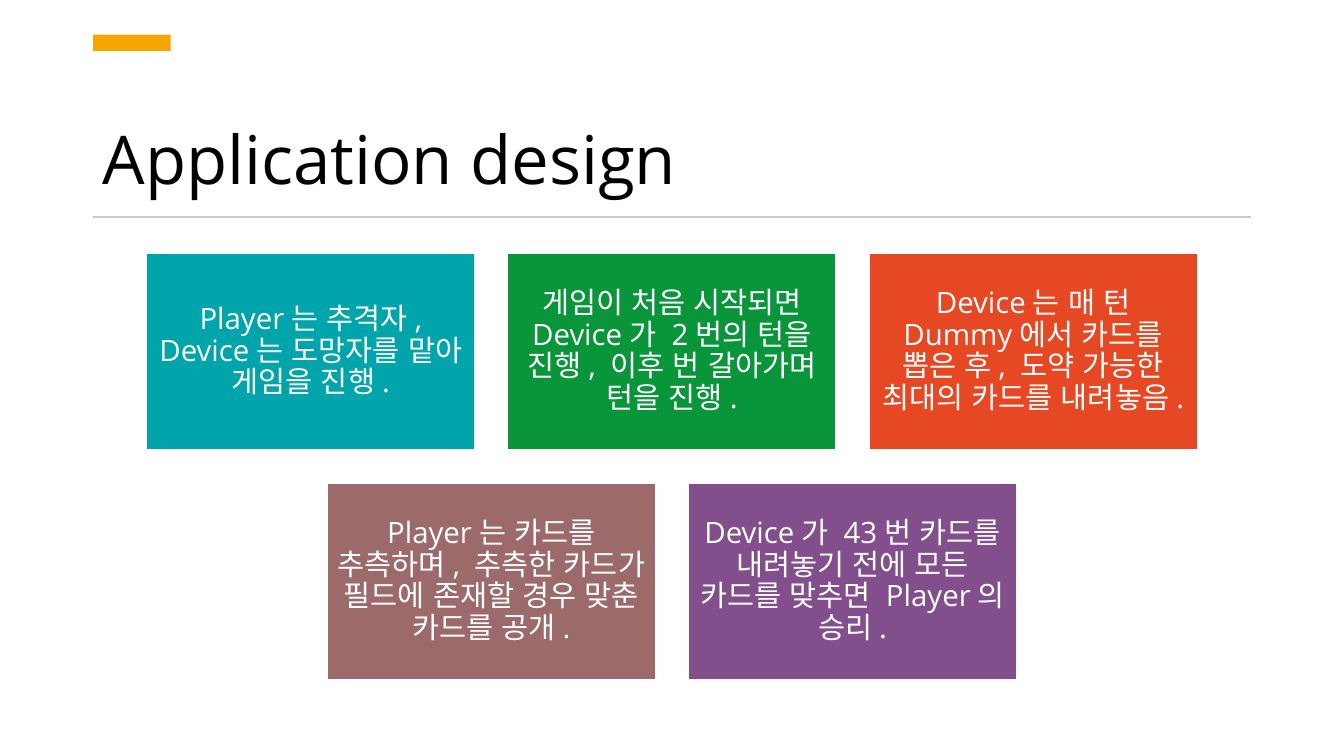
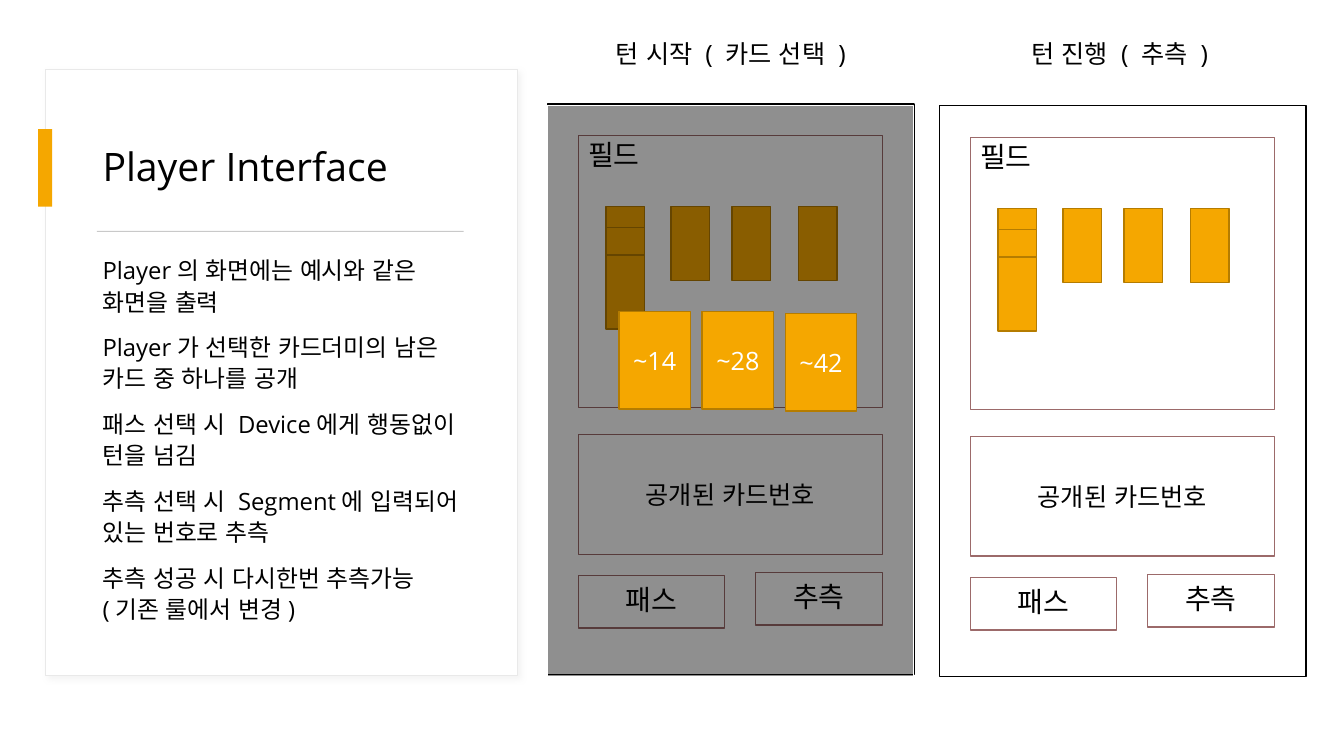
"""Build two slides on a card game: its rules and its player interface."""
import dataclasses
import typing

import lxml.etree
import pptx
import pptx.dml.color
import pptx.enum.lang
import pptx.enum.shapes
import pptx.enum.text
import pptx.oxml.ns
import pptx.shapes.autoshape
import pptx.shapes.shapetree
import pptx.slide
import pptx.util

Pt = pptx.util.Pt
Align = pptx.enum.text.PP_ALIGN
Anchor = pptx.enum.text.MSO_ANCHOR
Shape = pptx.shapes.autoshape.Shape
Shapes = typing.Union[
    pptx.shapes.shapetree.SlideShapes, pptx.shapes.shapetree.GroupShapes
]

SLIDE_WIDTH, SLIDE_HEIGHT = 960, 540
BLACK, WHITE = "000000", "FFFFFF"
AMBER, AMBER_EDGE = "F5A700", "B57C00"
RULE_GREY, PANEL_EDGE, SHADOW_GREY = "C9C9C9", "E9E9E9", "D9D9D9"
MAUVE = "9C6A6A"
LATIN_FONT, KOREAN_FONT = "Open Sans", "Noto Sans CJK KR"


@dataclasses.dataclass(frozen=True)
class Box:
    """A rectangle in points."""

    left: float
    top: float
    width: float
    height: float

    def lengths(self) -> list[pptx.util.Length]:
        """Give the four lengths in the order python-pptx expects."""
        return [Pt(value) for value in dataclasses.astuple(self)]

    def moved(self, across: float, down: float) -> "Box":
        """Give the same box shifted."""
        return dataclasses.replace(self, left=self.left + across, top=self.top + down)


@dataclasses.dataclass(frozen=True)
class TextStyle:
    """How the paragraphs of one text look."""

    size: float
    colour: str = BLACK
    align: Align = Align.LEFT
    anchor: Anchor = Anchor.TOP
    line_spacing: float = 1.0
    before: float = 0
    after: float = 0
    inset: typing.Optional[float] = None


@dataclasses.dataclass(frozen=True)
class Part:
    """One rectangle of the phone screen, with or without a label."""

    box: Box
    fill: str = WHITE
    line: str = MAUVE
    label: str = ""
    style: typing.Optional[TextStyle] = None


WIDE_TITLE = TextStyle(48, anchor=Anchor.BOTTOM, line_spacing=0.9)
PANEL_TITLE = TextStyle(28, anchor=Anchor.MIDDLE, line_spacing=0.9)
BODY = TextStyle(17, line_spacing=1.1, before=10)
TILE = TextStyle(21, WHITE, Align.CENTER, Anchor.MIDDLE, 0.9, inset=6.5)
CAPTION = TextStyle(18, align=Align.CENTER)
FIELD = TextStyle(20, line_spacing=0.9, after=6)
BUTTON = dataclasses.replace(FIELD, align=Align.CENTER, anchor=Anchor.MIDDLE)
INFO = dataclasses.replace(CAPTION, anchor=Anchor.MIDDLE)
CHOICE = dataclasses.replace(INFO, colour=WHITE)

TILE_WIDTH, TILE_HEIGHT, TILE_GAP, TILE_TOP = 234.6, 140.8, 23.4, 180.7
TILE_ROWS = [
    [
        ("00A5AB", "Player는 추격자, Device는 도망자를 맡아 게임을 진행."),
        ("09963B", "게임이 처음 시작되면 Device가 2번의 턴을 진행, 이후 번 갈아가며 턴을 진행."),
        ("E64823", "Device는 매 턴 Dummy에서 카드를 뽑은 후, 도약 가능한 최대의 카드를 내려놓음."),
    ],
    [
        (MAUVE, "Player는 카드를 추측하며, 추측한 카드가 필드에 존재할 경우 맞춘 카드를 공개."),
        ("824F8C", "Device가 43번 카드를 내려놓기 전에 모든 카드를 맞추면 Player의 승리."),
    ],
]
INTERFACE_NOTES = [
    "Player의 화면에는 예시와 같은 화면을 출력",
    "Player가 선택한 카드더미의 남은 카드 중 하나를 공개",
    "패스 선택 시 Device에게 행동없이 턴을 넘김",
    "추측 선택 시 Segment에 입력되어 있는 번호로 추측",
    "추측 성공 시 다시한번 추측가능 (기존 룰에서 변경)",
]

PHONE_WIDTH, PHONE_HEIGHT = 262, 407.5
CARD_SPOTS = [(42, 73.4), (88.2, 73.4), (132, 73.4), (179.2, 73.4), (42, 88.5), (42, 108)]
PHONE_PARTS = [
    Part(Box(0, 0, PHONE_WIDTH, PHONE_HEIGHT), line=BLACK),
    Part(Box(22, 22.6, 217.4, 194.4)),
    Part(Box(22, 337, 104.4, 37.4), label="패스", style=BUTTON),
    Part(Box(148.6, 334.8, 90.8, 37.4), label="추측", style=BUTTON),
    *[Part(Box(left, top, 27.6, 52.8), AMBER, AMBER_EDGE) for left, top in CARD_SPOTS],
    Part(Box(22, 236, 217.4, 85.7), label="공개된 카드번호", style=INFO),
]
FIELD_LABEL = Box(22, 23.4, 79.2, 39.6)


def colour_of(value: str) -> pptx.dml.color.RGBColor:
    """Turn a hex string into a colour."""
    return pptx.dml.color.RGBColor.from_string(value)


def write(shape: Shape, lines: list[str], style: TextStyle) -> None:
    """Fill a shape with paragraphs of one style."""
    frame = shape.text_frame
    frame.word_wrap = True
    frame.vertical_anchor = style.anchor
    if style.inset is not None:
        frame.margin_left = frame.margin_right = Pt(style.inset)
        frame.margin_top = frame.margin_bottom = Pt(style.inset)
    frame.text = "\n".join(lines)
    for paragraph in frame.paragraphs:
        paragraph.alignment = style.align
        paragraph.line_spacing = style.line_spacing
        paragraph.space_before = Pt(style.before)
        paragraph.space_after = Pt(style.after)
        font = paragraph.font
        font.size = Pt(style.size)
        font.name = LATIN_FONT
        font.color.rgb = colour_of(style.colour)
        font.language_id = pptx.enum.lang.MSO_LANGUAGE_ID.KOREAN
        defaults = paragraph._p.pPr.find(pptx.oxml.ns.qn("a:defRPr"))
        lxml.etree.SubElement(
            defaults, pptx.oxml.ns.qn("a:ea"), typeface=KOREAN_FONT
        )


def add_text(shapes: Shapes, box: Box, lines: list[str], style: TextStyle) -> None:
    """Add a text box."""
    write(shapes.add_textbox(*box.lengths()), lines, style)


def add_rectangle(
    shapes: Shapes,
    box: Box,
    fill: str,
    line: typing.Optional[str] = None,
    line_width: float = 1,
) -> Shape:
    """Add a flat rectangle, outlined when a line colour is given."""
    kind = pptx.enum.shapes.MSO_SHAPE.RECTANGLE
    shape = shapes.add_shape(kind, *box.lengths())
    shape.shadow.inherit = False
    shape.fill.solid()
    shape.fill.fore_color.rgb = colour_of(fill)
    if line is None:
        shape.line.fill.background()
    else:
        shape.line.color.rgb = colour_of(line)
        shape.line.width = Pt(line_width)
    return shape


def add_alpha(colour: lxml.etree._Element, percent: int) -> None:
    """Make an XML colour partly transparent."""
    lxml.etree.SubElement(colour, pptx.oxml.ns.qn("a:alpha"), val=str(percent * 1000))


def add_soft_shadow(shape: Shape) -> None:
    """Give a shape a faint shadow to the lower right."""
    effects = shape._element.spPr.find(pptx.oxml.ns.qn("a:effectLst"))
    shadow = lxml.etree.SubElement(
        effects,
        pptx.oxml.ns.qn("a:outerShdw"),
        blurRad=str(Pt(4)),
        dist=str(Pt(3)),
        dir=str(45 * 60000),
    )
    colour = lxml.etree.SubElement(
        shadow, pptx.oxml.ns.qn("a:srgbClr"), val=SHADOW_GREY
    )
    add_alpha(colour, 30)


def add_heading(
    shapes: Shapes, title: str, style: TextStyle, title_box: Box, accent: Box, rule: Box
) -> None:
    """Add a title with its amber accent and grey rule."""
    add_text(shapes, title_box, [title], style)
    add_rectangle(shapes, accent, AMBER)
    add_rectangle(shapes, rule, RULE_GREY)


def add_phone(shapes: Shapes, left: float, top: float) -> None:
    """Add one grouped phone screen."""
    phone = shapes.add_group_shape().shapes
    for part in PHONE_PARTS:
        shape = add_rectangle(phone, part.box.moved(left, top), part.fill, part.line)
        if part.style:
            write(shape, [part.label], part.style)
    add_text(phone, FIELD_LABEL.moved(left, top), ["필드"], FIELD)


def build_design(page: pptx.slide.Slide) -> None:
    """Draw the rules as centred rows of tiles."""
    shapes = page.shapes
    add_heading(
        shapes,
        "Application design",
        WIDE_TITLE,
        Box(66.2, 54, 827.3, 91.4),
        Box(66.6, 24.8, 55.4, 11.5),
        Box(66.2, 154.3, 827.3, 1.4),
    )
    for row, tiles in enumerate(TILE_ROWS):
        row_width = len(tiles) * (TILE_WIDTH + TILE_GAP) - TILE_GAP
        start = (SLIDE_WIDTH - row_width) / 2
        top = TILE_TOP + row * (TILE_HEIGHT + TILE_GAP)
        for column, (fill, text) in enumerate(tiles):
            left = start + column * (TILE_WIDTH + TILE_GAP)
            box = Box(left, top, TILE_WIDTH, TILE_HEIGHT)
            write(add_rectangle(shapes, box, fill, WHITE), [text], TILE)


def build_interface(page: pptx.slide.Slide) -> None:
    """Draw the notes panel and the two phone screens."""
    shapes = page.shapes
    panel = Box(32.4, 49.8, 337, 432.7)
    add_soft_shadow(add_rectangle(shapes, panel, WHITE, PANEL_EDGE, 0.75))
    add_heading(
        shapes,
        "Player Interface",
        PANEL_TITLE,
        Box(66.2, 77, 268.6, 87.1),
        Box(27.2, 92.2, 10, 55.4),
        Box(69.1, 164.9, 262, 0.7),
    )
    add_text(shapes, Box(66.2, 177.1, 268.6, 280.1), INTERFACE_NOTES, BODY)

    add_phone(shapes, 391, 74.2)
    veil = add_rectangle(shapes, Box(391, 75.6, 261.4, PHONE_HEIGHT), BLACK, WHITE)
    fill = veil._element.spPr.find(pptx.oxml.ns.qn("a:solidFill"))
    add_alpha(fill[0], 44)
    for index, (label, top) in enumerate([("~14", 222.5), ("~28", 222.5), ("~42", 223.9)]):
        box = Box(442.1 + index * 59.4, top, 51.1, 69.8)
        write(add_rectangle(shapes, box, AMBER, AMBER_EDGE), [label], CHOICE)

    for left, caption in [(391, "턴 시작 ( 카드 선택 )"), (668.9, "턴 진행 ( 추측 )")]:
        add_text(shapes, Box(left, 23.8, PHONE_WIDTH, 28.8), [caption], CAPTION)
    add_phone(shapes, 671, 75.6)


def main() -> None:
    """Build and save the deck."""
    deck = pptx.Presentation()
    deck.slide_width, deck.slide_height = Pt(SLIDE_WIDTH), Pt(SLIDE_HEIGHT)
    for build in (build_design, build_interface):
        build(deck.slides.add_slide(deck.slide_layouts[6]))
    deck.save("out.pptx")


main()
